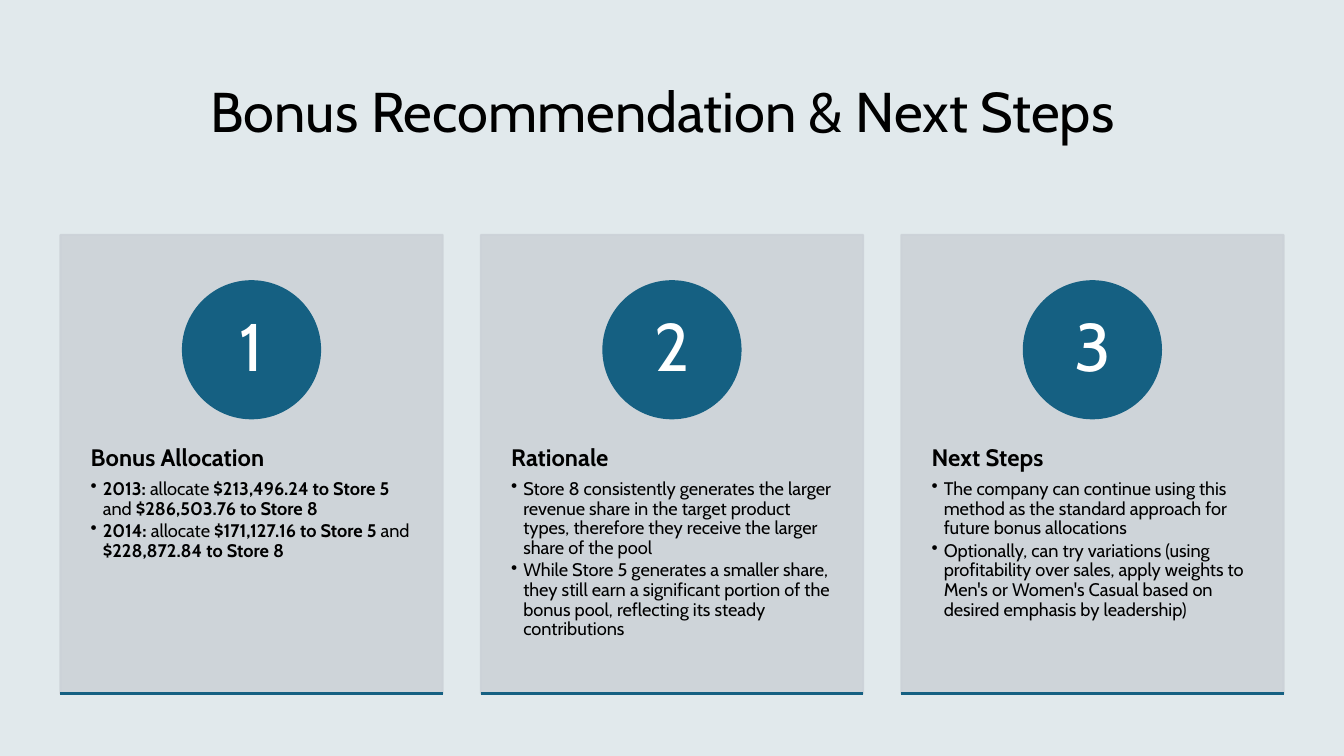
from lxml.etree import SubElement
from pptx import Presentation
from pptx.dml.color import RGBColor
from pptx.enum.shapes import MSO_CONNECTOR as CONNECTOR, MSO_SHAPE as SHAPE
from pptx.enum.text import MSO_ANCHOR as ANCHOR, PP_ALIGN as ALIGN
from pptx.oxml.ns import qn
from pptx.util import Inches, Pt

COLORS = {
    "base": "F2F2F2",
    "tint": "0B76A0",
    "card": "CCD2D8",
    "accent": "156082",
    "text": "000000",
    "number": "FFFFFF",
}
FONT = "Cabin"
SLIDE_WIDTH, SLIDE_HEIGHT = 13.33, 7.5

# Card grid
CARD_LEFT, CARD_TOP, CARD_WIDTH, CARD_HEIGHT = 0.6, 2.33, 3.79, 4.55
CARD_STEP = 4.17
CIRCLE_SIZE, CIRCLE_TOP = 1.36, 2.79
TEXT_TOP, TEXT_HEIGHT = 4.06, 2.73

# Each bullet is a list of (text, bold) runs
CARDS = [
    ("Bonus Allocation", [
        [("2013:", True), (" allocate ", False), ("$213,496.24 to Store 5", True),
         (" and ", False), ("$286,503.76 to Store 8", True)],
        [("2014:", True), (" allocate ", False), ("$171,127.16 to Store 5", True),
         (" and ", False), ("$228,872.84 to Store 8", True)],
    ]),
    ("Rationale", [
        [("Store 8 consistently generates the larger revenue share in the target "
          "product types, therefore they receive the larger share of the pool", False)],
        [("While Store 5 generates a smaller share, they still earn a significant "
          "portion of the bonus pool, reflecting its steady contributions", False)],
    ]),
    ("Next Steps", [
        [("The company can continue using this method as the standard approach "
          "for future bonus allocations", False)],
        [("Optionally, can try variations (using profitability over sales, apply "
          "weights to Men's or Women's Casual based on desired emphasis by "
          "leadership)", False)],
    ]),
]


def set_attributes(target, values):
    for name, value in values.items():
        setattr(target, name, value)


def paint(fill, color, opacity=100):
    fill.solid()
    fill.fore_color.rgb = RGBColor.from_string(COLORS[color])
    if opacity < 100:
        for color_element in fill._xPr.iter(qn("a:srgbClr")):
            SubElement(color_element, qn("a:alpha"), val=str(opacity * 1000))


def add_block(slide, kind, box, color, opacity=100, outlined=False):
    shape = slide.shapes.add_shape(kind, *map(Inches, box))
    shape.shadow.inherit = False
    paint(shape.fill, color, opacity)
    if outlined:
        shape.line.width = Pt(1.5)
        paint(shape.line.fill, color, opacity)
    else:
        shape.line.fill.background()
    return shape


def format_frame(frame, side, edge, anchor):
    set_attributes(frame, {
        "word_wrap": True,
        "vertical_anchor": anchor,
        "margin_left": Inches(side),
        "margin_right": Inches(side),
        "margin_top": Inches(edge),
        "margin_bottom": Inches(edge),
    })


def write_paragraph(paragraph, runs, size, color="text", align=ALIGN.LEFT, after=0):
    set_attributes(paragraph, {
        "alignment": align, "line_spacing": 0.9, "space_after": Pt(after),
    })
    for text, bold in runs:
        run = paragraph.add_run()
        run.text = text
        set_attributes(run.font, {"name": FONT, "size": Pt(size), "bold": bold})
        run.font.color.rgb = RGBColor.from_string(COLORS[color])


def add_bullet(paragraph):
    properties = paragraph._p.get_or_add_pPr()
    properties.set("marL", str(Inches(0.12)))
    properties.set("indent", str(-Inches(0.12)))
    SubElement(properties, qn("a:buChar"), char="•")


def add_title(slide, text):
    title = slide.shapes.add_textbox(*map(Inches, (0.25, 0.4, 12.64, 1.47)))
    format_frame(title.text_frame, 0.1, 0.05, ANCHOR.MIDDLE)
    write_paragraph(title.text_frame.paragraphs[0], [(text, False)], 40,
                    align=ALIGN.CENTER)


def add_card_text(slide, left, heading, bullets):
    box = slide.shapes.add_textbox(
        *map(Inches, (left, TEXT_TOP, CARD_WIDTH, TEXT_HEIGHT)))
    frame = box.text_frame
    format_frame(frame, 0.3, 0.36, ANCHOR.TOP)
    write_paragraph(frame.paragraphs[0], [(heading, True)], 17, after=6)
    for runs in bullets:
        paragraph = frame.add_paragraph()
        add_bullet(paragraph)
        write_paragraph(paragraph, runs, 13, after=2)


def add_number(slide, left, number):
    circle_left = left + (CARD_WIDTH - CIRCLE_SIZE) / 2
    circle = add_block(slide, SHAPE.OVAL,
                       (circle_left, CIRCLE_TOP, CIRCLE_SIZE, CIRCLE_SIZE),
                       "accent", outlined=True)
    format_frame(circle.text_frame, 0.11, 0.01, ANCHOR.MIDDLE)
    write_paragraph(circle.text_frame.paragraphs[0], [(str(number), False)], 48,
                    color="number", align=ALIGN.CENTER)


def add_rule(slide, left):
    bottom = Inches(CARD_TOP + CARD_HEIGHT)
    rule = slide.shapes.add_connector(CONNECTOR.STRAIGHT, Inches(left), bottom,
                                      Inches(left + CARD_WIDTH), bottom)
    rule.line.width = Pt(1.5)
    paint(rule.line.fill, "accent")
    SubElement(rule._element.spPr, qn("a:effectLst"))


def add_card(slide, number, heading, bullets):
    left = CARD_LEFT + (number - 1) * CARD_STEP
    add_block(slide, SHAPE.RECTANGLE, (left, CARD_TOP, CARD_WIDTH, CARD_HEIGHT),
              "card", 90, outlined=True)
    add_card_text(slide, left, heading, bullets)
    add_number(slide, left, number)
    add_rule(slide, left)


def main():
    presentation = Presentation()
    presentation.slide_width = Inches(SLIDE_WIDTH)
    presentation.slide_height = Inches(SLIDE_HEIGHT)
    slide = presentation.slides.add_slide(presentation.slide_layouts[6])

    # Tinted backdrop
    for color, opacity in (("base", 100), ("tint", 7)):
        add_block(slide, SHAPE.RECTANGLE, (0, 0, SLIDE_WIDTH, SLIDE_HEIGHT),
                  color, opacity)

    # Title and numbered cards
    add_title(slide, "Bonus Recommendation & Next Steps")
    for number, (heading, bullets) in enumerate(CARDS, start=1):
        add_card(slide, number, heading, bullets)

    presentation.save("out.pptx")


if __name__ == "__main__":
    main()
